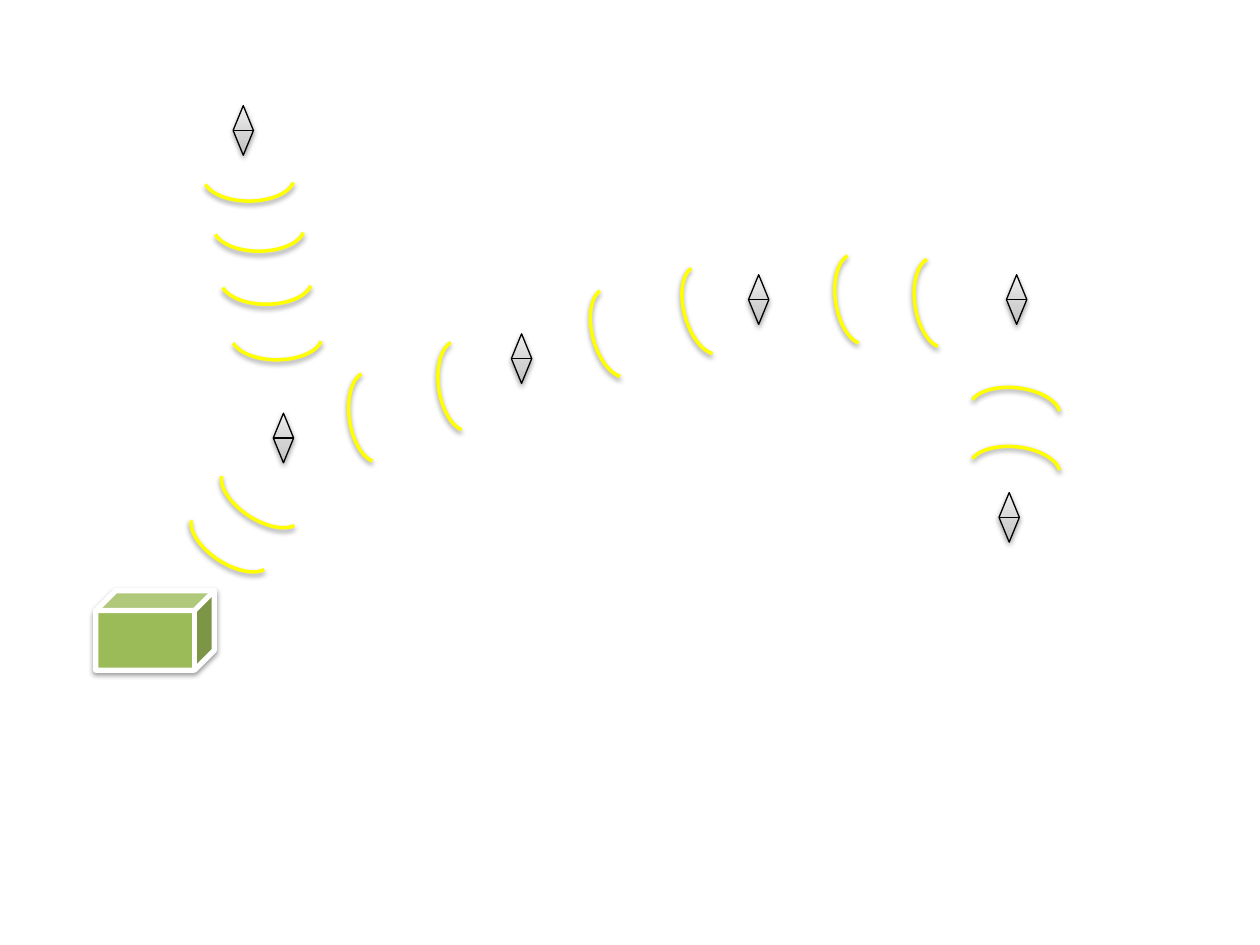
from copy import deepcopy

from lxml import etree
from pptx import Presentation
from pptx.dml.color import RGBColor
from pptx.enum.shapes import MSO_SHAPE
from pptx.oxml.ns import qn
from pptx.util import Cm, Pt

SORT, CUBE, ARC = MSO_SHAPE.FLOWCHART_SORT, MSO_SHAPE.CUBE, MSO_SHAPE.ARC

COLORS = {"outline": "000000", "wave": "FFFF00", "base": "9BBB59",
          "edge": "FFFFFF", "shadow": "000000"}
SENSOR_STOPS = [(0, "BDBDBD"), (0.35, "D1D1D1"), (1, "EEEEEE")]

# Positions in cm: left, top
SENSOR_SIZE = (0.41, 1.0)
SENSORS = [(20.14, 9.93), (20.29, 5.54), (10.31, 6.73),
           (15.09, 5.54), (4.7, 2.13), (5.51, 8.33)]
BASE_STATION = (1.93, 11.91, 2.39, 1.6)

# Radio waves: rotation, mirrored, positions
WAVE_SIZE = (0.94, 1.83)
WAVE_ARC = (167.24, 50.34)
WAVES = [
    (171.6, False, [(18.44, 5.18), (16.84, 5.11), (8.84, 6.86), (7.04, 7.49)]),
    (122.8, False, [(4.8, 9.09), (4.19, 9.98)]),
    (164.6, False, [(13.79, 5.33)]),
    (165.3, False, [(11.94, 5.79)]),
    (276.2, False, [(19.99, 8.56), (19.99, 7.37)]),
    (270, True, [(4.75, 3.68), (4.9, 4.75), (5.11, 5.87), (4.55, 2.67)]),
]


def rgb(name):
    return RGBColor.from_string(COLORS[name])


def add_shadow(sp):
    effects = etree.SubElement(sp._element.spPr, qn("a:effectLst"))
    shadow = etree.SubElement(effects, qn("a:outerShdw"), blurRad=str(Pt(3.1)),
                              dist=str(Pt(1.6)), dir="5400000", rotWithShape="0")
    color = etree.SubElement(shadow, qn("a:srgbClr"), val=COLORS["shadow"])
    etree.SubElement(color, qn("a:alpha"), val="38000")


def add_part(kind, box, line, width):
    sp = s.shapes.add_shape(kind, *(Cm(v) for v in box))
    sp.line.color.rgb = rgb(line)
    sp.line.width = Pt(width)
    add_shadow(sp)
    return sp


def fill_gradient(sp):
    sp.fill.gradient()
    sp.fill.gradient_angle = 90
    stops = sp._element.spPr.find(".//" + qn("a:gsLst"))
    stops.append(deepcopy(stops[-1]))
    for stop, (position, color) in zip(sp.fill.gradient_stops, SENSOR_STOPS):
        stop.position = position
        stop.color.rgb = RGBColor.from_string(color)


prs = Presentation()
prs.slide_width, prs.slide_height = Cm(25.4), Cm(19.05)
s = prs.slides.add_slide(prs.slide_layouts[6])

# Sensors
for pos in SENSORS:
    fill_gradient(add_part(SORT, pos + SENSOR_SIZE, "outline", 0.75))

# Base station
base = add_part(CUBE, BASE_STATION, "edge", 3)
base.fill.solid()
base.fill.fore_color.rgb = rgb("base")

# Radio waves
for rotation, mirrored, positions in WAVES:
    for pos in positions:
        wave = add_part(ARC, pos + WAVE_SIZE, "wave", 2)
        wave.fill.background()
        wave.rotation = rotation
        wave.adjustments[0], wave.adjustments[1] = WAVE_ARC
        if mirrored:
            wave._element.spPr.xfrm.set("flipH", "1")

prs.save("out.pptx")
